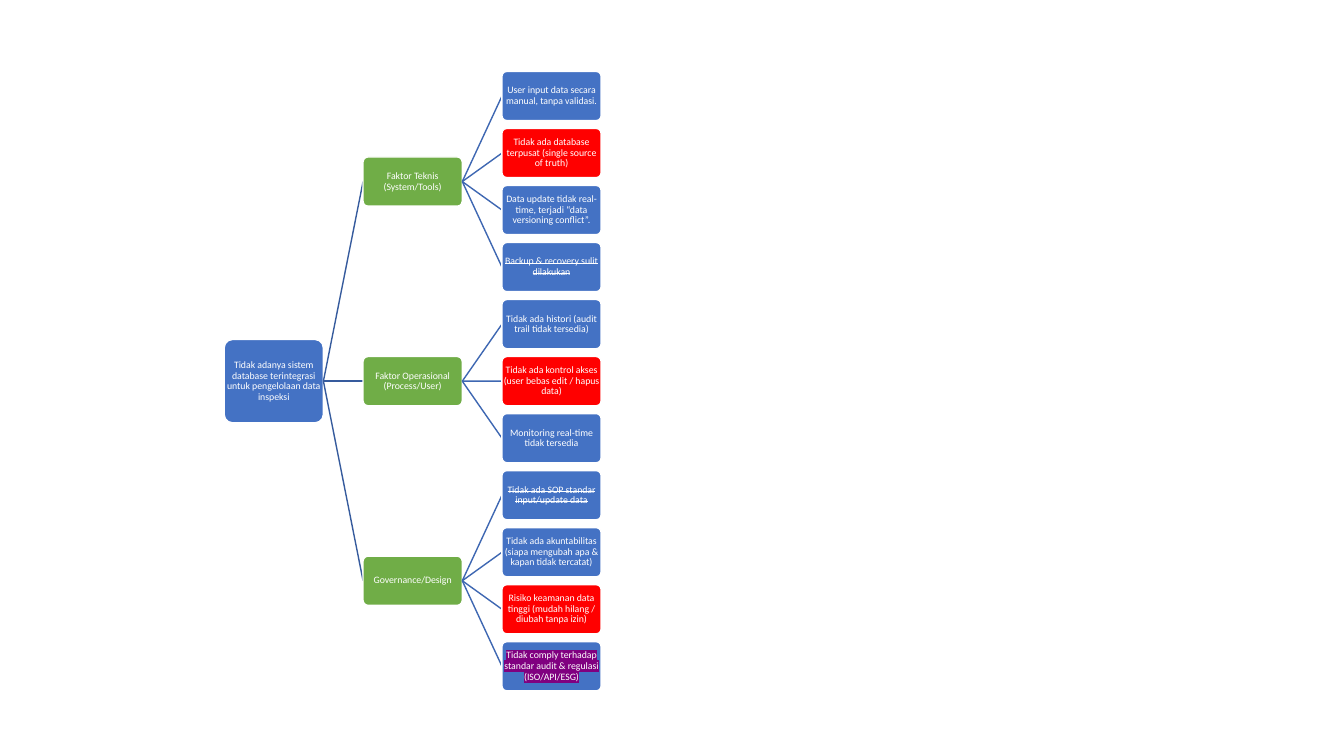
from dataclasses import dataclass

from lxml import etree
from pptx import Presentation
from pptx import util as u
from pptx.dml.color import RGBColor
from pptx.enum import shapes, text
from pptx.oxml import ns

COLORS = {
    "blue": "4472C4",
    "green": "70AD47",
    "red": "FF0000",
    "white": "FFFFFF",
    "purple": "800080",
    "root_line": "365B9D",
    "leaf_line": "3E67B2",
}
COLUMN_LEFTS = (5.65, 9.15, 12.65)
BOX_WIDTH = 2.5
BOX_HEIGHT = 1.24
ROOT_HEIGHT = 2.1
FIRST_ROW = 2.42
LAST_ROW = 16.79


@dataclass(frozen=True)
class Cause:
    label: str
    fill: str = "blue"
    strike: bool = False
    highlight: str | None = None


@dataclass(frozen=True)
class Factor:
    label: str
    causes: tuple[Cause, ...]


ROOT = "Tidak adanya sistem database terintegrasi untuk pengelolaan data inspeksi"
FACTORS = (
    Factor("Faktor Teknis (System/Tools)", (
        Cause("User input data secara manual, tanpa validasi."),
        Cause("Tidak ada database terpusat (single source of truth)", fill="red"),
        Cause("Data update tidak real-time, terjadi “data versioning conflict”."),
        Cause("Backup & recovery sulit dilakukan", strike=True),
    )),
    Factor("Faktor Operasional (Process/User)", (
        Cause("Tidak ada histori (audit trail tidak tersedia)"),
        Cause("Tidak ada kontrol akses (user bebas edit / hapus data)", fill="red"),
        Cause("Monitoring real-time tidak tersedia"),
    )),
    Factor("Governance/Design", (
        Cause("Tidak ada SOP standar input/update data", strike=True),
        Cause("Tidak ada akuntabilitas (siapa mengubah apa & kapan tidak tercatat)"),
        Cause("Risiko keamanan data tinggi (mudah hilang / diubah tanpa izin)", fill="red"),
        Cause("Tidak comply terhadap standar audit & regulasi (ISO/API/ESG)", highlight="purple"),
    )),
)


def color(name: str) -> RGBColor:
    return RGBColor.from_string(COLORS[name])


def write_text(box, label: str, *, size: float = 7, font: str = "Calibri",
               ink: str = "white", strike: bool = False,
               highlight: str | None = None) -> None:
    frame = box.text_frame
    frame.word_wrap = True
    frame.vertical_anchor = text.MSO_ANCHOR.MIDDLE
    frame.margin_left = frame.margin_right = 0
    frame.margin_top = frame.margin_bottom = 0
    para = frame.paragraphs[0]
    para.alignment = text.PP_ALIGN.CENTER
    para.line_spacing = 0.9
    span = para.add_run()
    span.text = label
    span.font.size = u.Pt(size)
    span.font.name = font
    span.font.color.rgb = color(ink)
    properties = span._r.get_or_add_rPr()
    if strike:
        properties.set("strike", "sngStrike")
    if highlight:
        marker = etree.Element(ns.qn("a:highlight"))
        etree.SubElement(marker, ns.qn("a:srgbClr"), val=COLORS[highlight])
        properties.find(ns.qn("a:solidFill")).addnext(marker)


def add_box(page, column: int, middle: float, label: str, *, fill: str = "blue",
            height: float = BOX_HEIGHT, strike: bool = False,
            highlight: str | None = None) -> None:
    box = page.shapes.add_shape(
        shapes.MSO_SHAPE.ROUNDED_RECTANGLE,
        u.Cm(COLUMN_LEFTS[column]), u.Cm(middle - height / 2),
        u.Cm(BOX_WIDTH), u.Cm(height))
    box.adjustments[0] = 0.1
    box.shadow.inherit = False
    box.fill.solid()
    box.fill.fore_color.rgb = color(fill)
    box.line.color.rgb = color("white")
    box.line.width = u.Pt(1)
    write_text(box, label, strike=strike, highlight=highlight)


def add_branch(page, column: int, start: float, end: float, ink: str) -> None:
    branch = page.shapes.add_connector(
        shapes.MSO_CONNECTOR.STRAIGHT,
        u.Cm(COLUMN_LEFTS[column] + BOX_WIDTH), u.Cm(start),
        u.Cm(COLUMN_LEFTS[column + 1]), u.Cm(end))
    branch.line.color.rgb = color(ink)
    branch.line.width = u.Pt(1)
    etree.SubElement(branch._element.spPr, ns.qn("a:effectLst"))


def draw_tree(page) -> None:
    row_count = sum(len(factor.causes) for factor in FACTORS)
    pitch = (LAST_ROW - FIRST_ROW) / (row_count - 1)
    root_middle = (FIRST_ROW + LAST_ROW) / 2
    add_box(page, 0, root_middle, ROOT, height=ROOT_HEIGHT)
    row = 0
    for factor in FACTORS:
        middles = [FIRST_ROW + pitch * (row + i) for i in range(len(factor.causes))]
        factor_middle = (middles[0] + middles[-1]) / 2
        add_branch(page, 0, root_middle, factor_middle, "root_line")
        add_box(page, 1, factor_middle, factor.label, fill="green")
        for cause, middle in zip(factor.causes, middles):
            add_branch(page, 1, factor_middle, middle, "leaf_line")
            add_box(page, 2, middle, cause.label, fill=cause.fill,
                    strike=cause.strike, highlight=cause.highlight)
        row += len(factor.causes)


def main() -> None:
    deck = Presentation()
    deck.slide_width = u.Cm(33.87)
    deck.slide_height = u.Cm(19.05)
    page = deck.slides.add_slide(deck.slide_layouts[6])
    draw_tree(page)
    deck.save("out.pptx")


if __name__ == "__main__":
    main()
